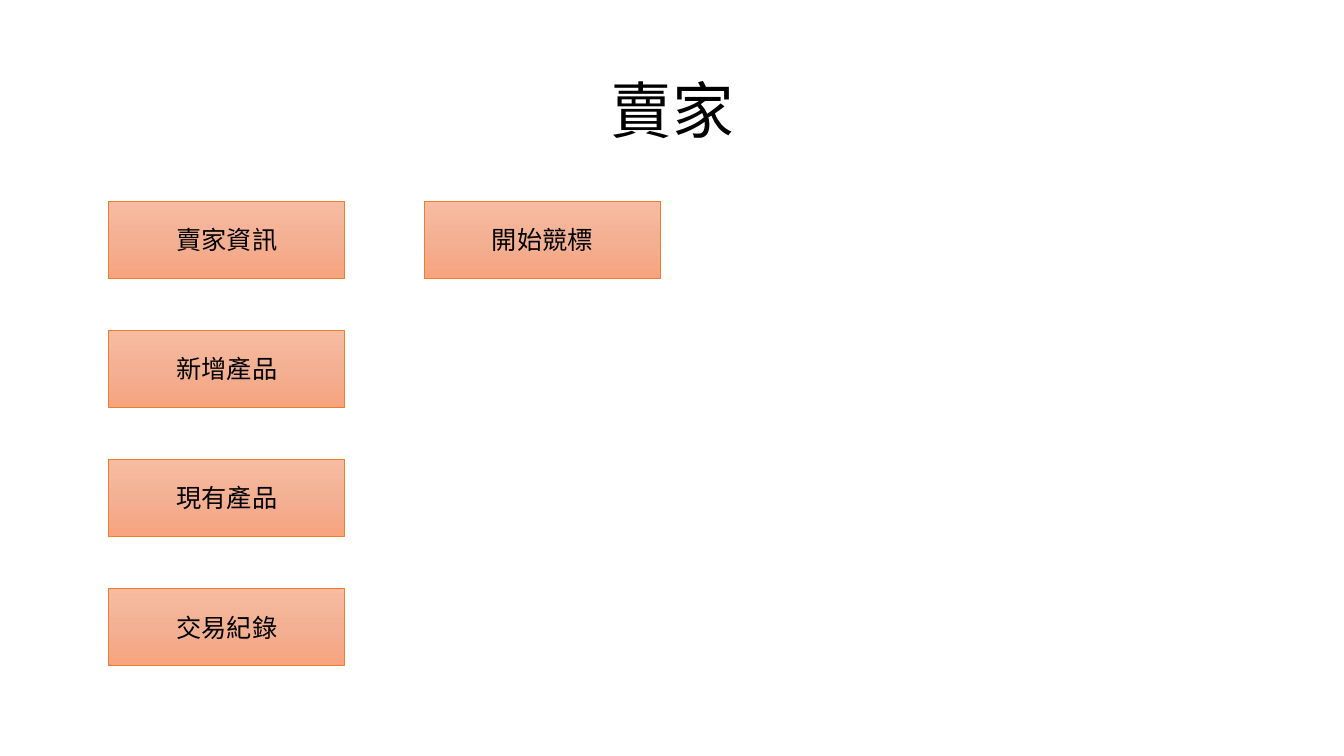
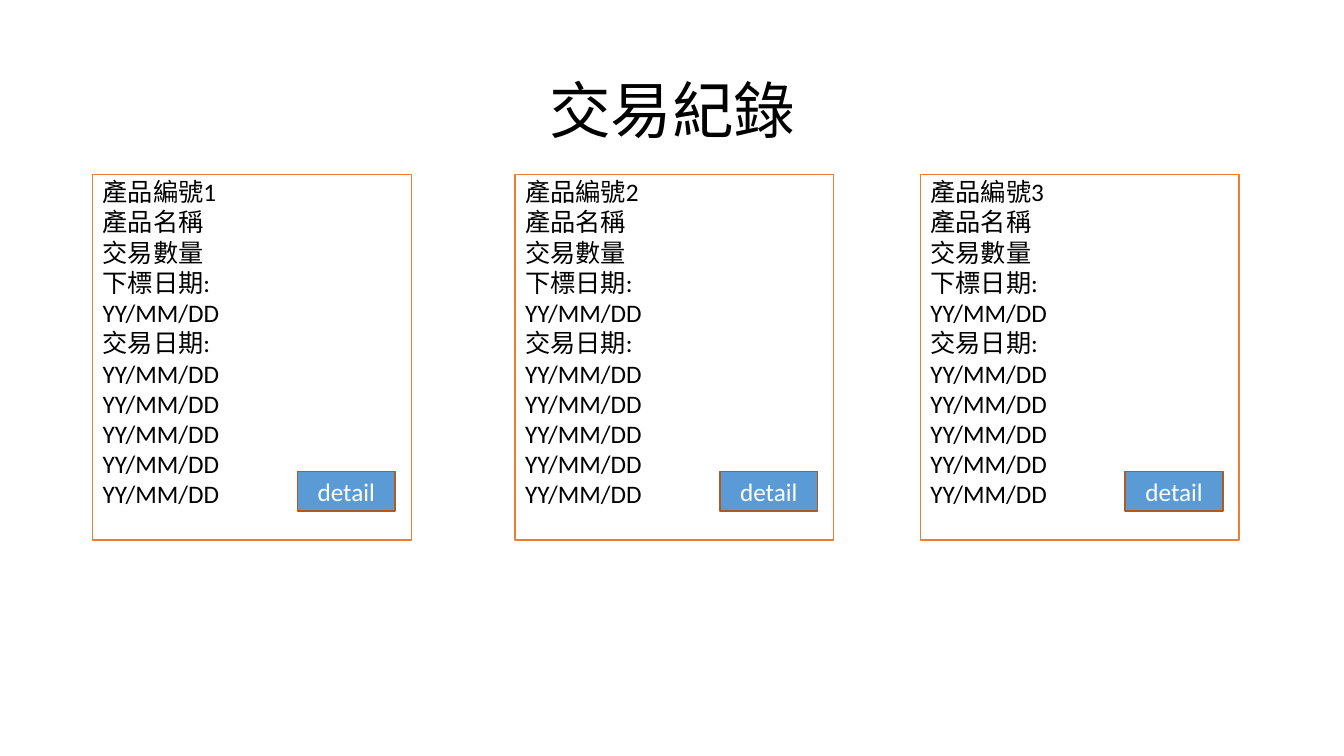
import copy
import dataclasses
import pptx
import pptx.dml.color
import pptx.enum.shapes
import pptx.enum.text
import pptx.oxml.ns
import pptx.util

ALIGN = pptx.enum.text.PP_ALIGN
ANCHOR = pptx.enum.text.MSO_ANCHOR
RECT = pptx.enum.shapes.MSO_SHAPE.RECTANGLE


@dataclasses.dataclass(frozen=True)
class Theme:
    """Colours, font and type sizes of the deck."""
    font: str = "Calibri"
    head: int = 44
    body: int = 18
    ink: str = "000000"
    paper: str = "FFFFFF"
    edge: str = "ED7D31"
    blue: str = "5B9BD5"
    rust: str = "AC5B23"
    glow: tuple = ("F7BCA2", "F4B093", "F7A47F")


THEME = Theme()
WIDTH, HEIGHT = 13.33, 7.5
TITLE = (0.92, 0.4, 11.5, 1.45)


def color(code):
    """Turn a hex code into a colour."""
    return pptx.dml.color.RGBColor.from_string(code)


def inches(box):
    """Turn a box in inches into lengths."""
    return [pptx.util.Inches(size) for size in box]


def write(shape, text, size=THEME.body, ink=THEME.ink, align=ALIGN.CENTER,
          anchor=ANCHOR.MIDDLE, spacing=None):
    """Put styled text into a shape."""
    frame = shape.text_frame
    frame.word_wrap = True
    frame.vertical_anchor = anchor
    frame.text = text
    for line in frame.paragraphs:
        line.alignment = align
        line.line_spacing = spacing
        for run in line.runs:
            run.font.name = THEME.font
            run.font.size = pptx.util.Pt(size)
            run.font.color.rgb = color(ink)


def panel(slide, box, fill, edge, weight):
    """Draw a rectangle; several fill colours make a downward gradient."""
    shape = slide.shapes.add_shape(RECT, *inches(box))
    shape.shadow.inherit = False
    shape.line.color.rgb = color(edge)
    shape.line.width = pptx.util.Pt(weight)
    if isinstance(fill, str):
        shape.fill.solid()
        shape.fill.fore_color.rgb = color(fill)
        return shape
    shape.fill.gradient()
    shape.fill.gradient_angle = 270
    stops = shape.element.spPr.find(".//" + pptx.oxml.ns.qn("a:gsLst"))
    while len(stops) < len(fill):
        stops.append(copy.deepcopy(stops[0]))
    for index, stop in enumerate(shape.fill.gradient_stops):
        stop.position = index / (len(fill) - 1)
        stop.color.rgb = color(fill[index])
    return shape


def page(deck, title):
    """Add a blank slide with its centred title."""
    slide = deck.slides.add_slide(deck.slide_layouts[6])
    label = slide.shapes.add_textbox(*inches(TITLE))
    write(label, title, size=THEME.head, spacing=0.9)
    return slide


def menu(slide, box, step, columns):
    """Set columns of buttons on a grid that starts at the given box."""
    left, top, width, height = box
    across, down = step
    for col, names in enumerate(columns):
        for row, name in enumerate(names):
            place = (left + col * across, top + row * down, width, height)
            write(panel(slide, place, THEME.glow, THEME.edge, 0.75), name)


def card(slide, box, lines):
    """Draw one record card with a detail button at its lower right."""
    left, top, width, height = box
    sheet = panel(slide, box, THEME.paper, THEME.edge, 1)
    write(sheet, "\n".join(lines), align=ALIGN.LEFT, anchor=ANCHOR.TOP)
    sheet.text_frame.margin_top = pptx.util.Inches(0.02)
    wide, high = 0.97, 0.39
    place = (left + width - wide - 0.16, top + height - high - 0.29, wide, high)
    button = panel(slide, place, THEME.blue, THEME.rust, 1)
    write(button, "detail", ink=THEME.paper)


def seller(deck):
    """Build the seller menu slide."""
    slide = page(deck, "賣家")
    columns = [["賣家資訊", "新增產品", "現有產品", "交易紀錄"], ["開始競標"]]
    menu(slide, (1.08, 2, 2.34, 0.76), (3.13, 1.28), columns)


def record(deck):
    """Build the slide of trade records."""
    slide = page(deck, "交易紀錄")
    date = "YY/MM/DD"
    fields = ["產品名稱", "交易數量", "下標日期:", date, "交易日期:"] + [date] * 5
    for number, left in enumerate((0.92, 5.11, 9.13), 1):
        card(slide, (left, 1.73, 3.16, 3.63), [f"產品編號{number}"] + fields)


def main():
    """Build and save the deck."""
    deck = pptx.Presentation()
    deck.slide_width, deck.slide_height = inches((WIDTH, HEIGHT))
    seller(deck)
    record(deck)
    deck.save("out.pptx")


main()
